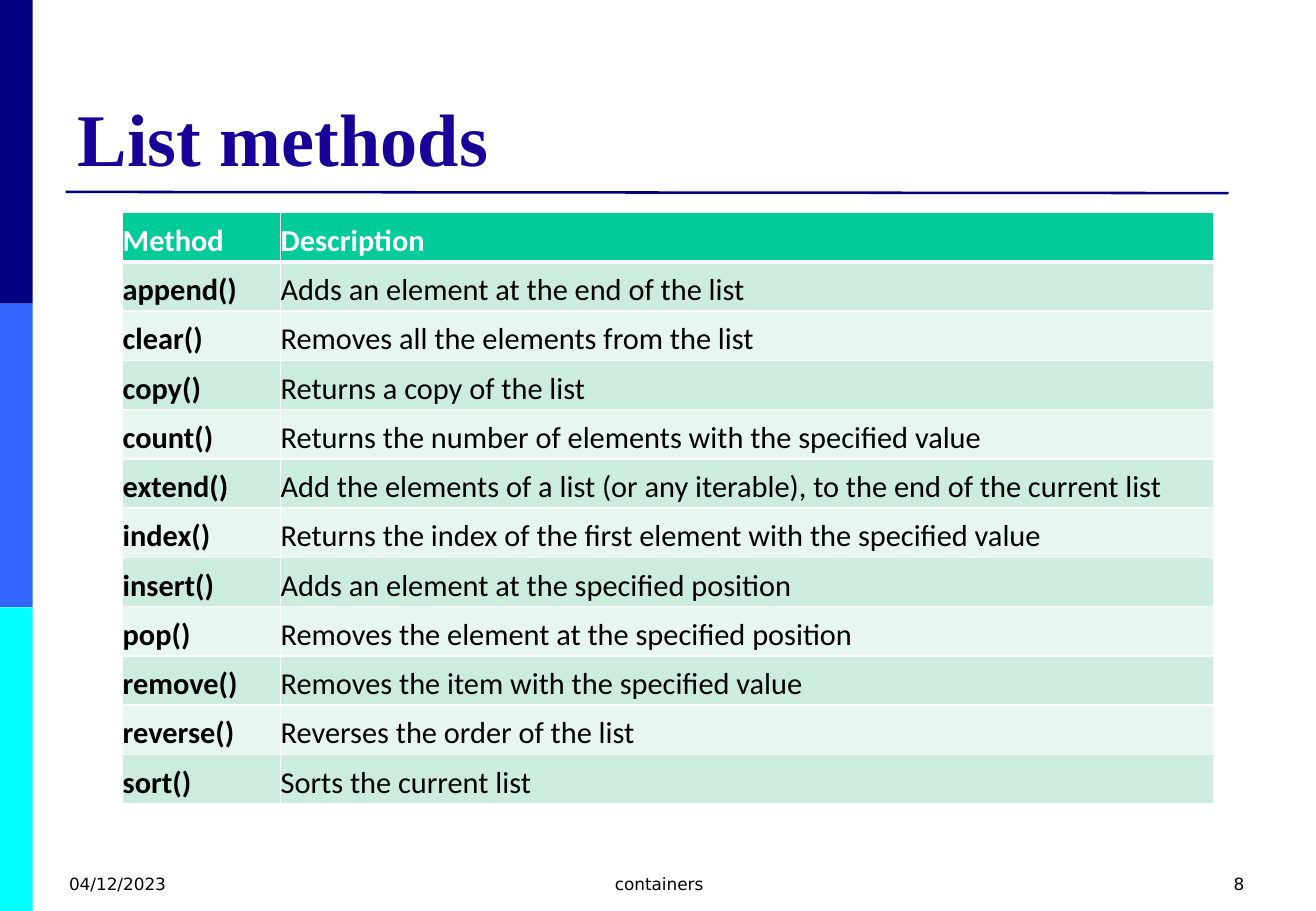
import pptx
import pptx.dml.color
import pptx.enum.shapes
import pptx.enum.text
import pptx.oxml
import pptx.oxml.ns
import pptx.util

Inches = pptx.util.Inches
Pt = pptx.util.Pt
RGBColor = pptx.dml.color.RGBColor
Align = pptx.enum.text.PP_ALIGN
Anchor = pptx.enum.text.MSO_ANCHOR

NAVY = RGBColor(0x00, 0x00, 0x80)
BLUE = RGBColor(0x33, 0x66, 0xFF)
CYAN = RGBColor(0x00, 0xFF, 0xFF)
INDIGO = RGBColor(0x17, 0x01, 0x99)
GREEN = RGBColor(0x00, 0xCC, 0x99)
MINT = RGBColor(0xCC, 0xEC, 0xDE)
PALE_MINT = RGBColor(0xE7, 0xF6, 0xEF)
WHITE = RGBColor(0xFF, 0xFF, 0xFF)
BLACK = RGBColor(0x00, 0x00, 0x00)

METHODS = [
    ("Method", "Description"),
    ("append()", "Adds an element at the end of the list"),
    ("clear()", "Removes all the elements from the list"),
    ("copy()", "Returns a copy of the list"),
    ("count()", "Returns the number of elements with the specified value"),
    ("extend()", "Add the elements of a list (or any iterable), to the end of the current list"),
    ("index()", "Returns the index of the first element with the specified value"),
    ("insert()", "Adds an element at the specified position"),
    ("pop()", "Removes the element at the specified position"),
    ("remove()", "Removes the item with the specified value"),
    ("reverse()", "Reverses the order of the list"),
    ("sort()", "Sorts the current list"),
]


class SlideBuilder:
    title_font = {"name": "Times New Roman", "size": Pt(44), "bold": True}
    table_font = {"name": "Calibri", "size": Pt(18)}
    footer_font = {"name": "DejaVu Sans", "size": Pt(10), "bold": False}
    text_frame = {
        "margin_left": Inches(0.1), "margin_right": Inches(0.1),
        "margin_top": Inches(0.05), "margin_bottom": Inches(0.05),
        "word_wrap": True, "auto_size": pptx.enum.text.MSO_AUTO_SIZE.NONE,
    }
    cell_format = {
        "margin_left": 0, "margin_right": Inches(0.06),
        "margin_top": Inches(0.06), "margin_bottom": 0,
        "vertical_anchor": Anchor.MIDDLE,
    }

    def __init__(self, slide):
        self.slide = slide

    def apply(self, target, values):
        for name, value in values.items():
            setattr(target, name, value)

    def fill_text(self, frame, text, font, color, align=Align.LEFT):
        paragraph = frame.paragraphs[0]
        paragraph.alignment = align
        run = paragraph.add_run()
        run.text = text
        self.apply(run.font, font)
        run.font.color.rgb = color

    def bar(self, left, top, width, height, color):
        shape = self.slide.shapes.add_shape(
            pptx.enum.shapes.MSO_SHAPE.RECTANGLE,
            Inches(left), Inches(top), Inches(width), Inches(height))
        shape.shadow.inherit = False
        shape.fill.solid()
        shape.fill.fore_color.rgb = color
        shape.line.fill.background()

    def rule(self, start, end, color, width):
        connector = self.slide.shapes.add_connector(
            pptx.enum.shapes.MSO_CONNECTOR.STRAIGHT,
            *(Inches(value) for value in start + end))
        connector.line.color.rgb = color
        connector.line.width = Pt(width)
        connector._element.spPr.append(pptx.oxml.parse_xml(
            f'<a:effectLst {pptx.oxml.ns.nsdecls("a")}/>'))

    def title(self, text, left, top, width, height):
        shape = self.slide.shapes.title
        self.apply(shape, {"left": Inches(left), "top": Inches(top),
                           "width": Inches(width), "height": Inches(height)})
        self.apply(shape.text_frame, self.text_frame)
        shape.text_frame.vertical_anchor = Anchor.BOTTOM
        self.fill_text(shape.text_frame, text, self.title_font, INDIGO)

    def text(self, text, left, top, width, height, align):
        shape = self.slide.shapes.add_textbox(
            Inches(left), Inches(top), Inches(width), Inches(height))
        self.apply(shape.text_frame, self.text_frame)
        self.fill_text(shape.text_frame, text, self.footer_font, BLACK, align)

    def borders(self, cell, widths):
        properties = cell._tc.get_or_add_tcPr()
        for index, (side, width) in enumerate(widths.items()):
            properties.insert(index, pptx.oxml.parse_xml(
                f'<a:ln{side} {pptx.oxml.ns.nsdecls("a")} w="{Pt(width)}">'
                f'<a:solidFill><a:srgbClr val="{WHITE}"/></a:solidFill></a:ln{side}>'))

    def table(self, rows, left, top, column_widths, row_height):
        table = self.slide.shapes.add_table(
            len(rows), len(column_widths), Inches(left), Inches(top),
            Inches(sum(column_widths)), Inches(row_height * len(rows))).table
        for column, width in zip(table.columns, column_widths):
            column.width = Inches(width)
        for row_index, values in enumerate(rows):
            header = row_index == 0
            fill = GREEN if header else (PALE_MINT, MINT)[row_index % 2]
            table.rows[row_index].height = Inches(row_height)
            for column_index, value in enumerate(values):
                cell = table.cell(row_index, column_index)
                self.apply(cell, self.cell_format)
                cell.fill.solid()
                cell.fill.fore_color.rgb = fill
                self.borders(cell, {"L": 1, "R": 1, "T": 1, "B": 3 if header else 1})
                font = {**self.table_font, "bold": header or column_index == 0}
                self.fill_text(cell.text_frame, value, font, WHITE if header else BLACK)


def main():
    presentation = pptx.Presentation()
    presentation.slide_width = Inches(10.83)
    presentation.slide_height = Inches(7.5)
    builder = SlideBuilder(presentation.slides.add_slide(presentation.slide_layouts[5]))

    for index, color in enumerate((NAVY, BLUE, CYAN)):
        builder.bar(0, index * 2.5, 0.27, 2.5, color)
    builder.rule((0.54, 1.58), (10.11, 1.59), NAVY, 1.5)
    builder.title("List methods", 0.54, 0.3, 9.75, 1.24)
    builder.table(METHODS, 1.01, 1.75, (1.3, 7.68), 4.87 / len(METHODS))
    for text, left, width, align in (
            ("04/12/2023", 0.47, 2.53, Align.LEFT),
            ("containers", 3.71, 3.43, Align.CENTER),
            ("8", 7.81, 2.53, Align.RIGHT)):
        builder.text(text, left, 7.14, width, 0.36, align)

    presentation.save("out.pptx")


if __name__ == "__main__":
    main()
